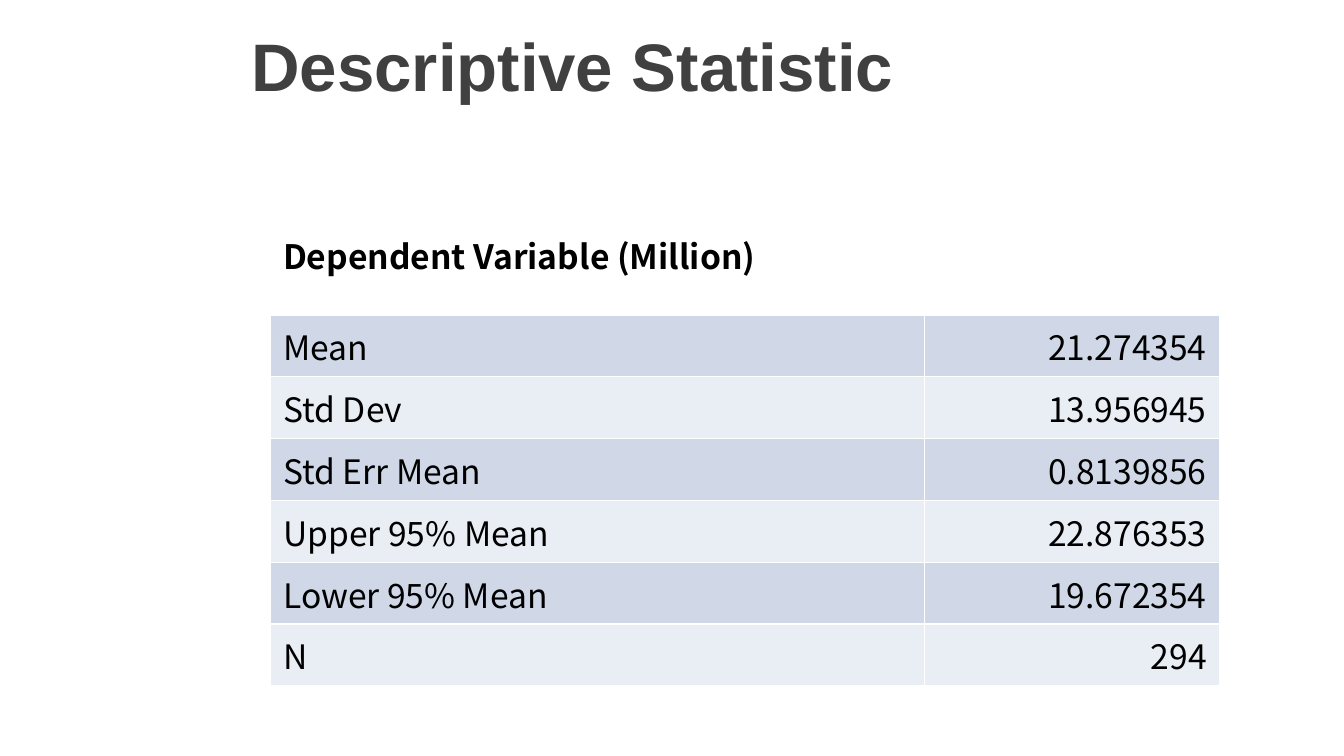
import dataclasses

import lxml.etree
import pptx
import pptx.dml.color
import pptx.enum.text
import pptx.oxml.ns
import pptx.util

Cm = pptx.util.Cm
Pt = pptx.util.Pt
Align = pptx.enum.text.PP_ALIGN
Anchor = pptx.enum.text.MSO_ANCHOR
qn = pptx.oxml.ns.qn


@dataclasses.dataclass(frozen=True)
class Theme:
    title_font: str = "Arial"
    body_font: str = "Noto Sans CJK KR"
    title_size: int = 36
    body_size: int = 18
    title_color: str = "404040"
    body_color: str = "000000"
    bands: tuple = ("D0D8E8", "E9EDF4")
    border_color: str = "FFFFFF"
    border_width: int = 1


THEME = Theme()

STATISTICS = [
    ("Mean", "21.274354"),
    ("Std Dev", "13.956945"),
    ("Std Err Mean", "0.8139856"),
    ("Upper 95% Mean", "22.876353"),
    ("Lower 95% Mean", "19.672354"),
    ("N", "294"),
]


def rgb(value):
    return pptx.dml.color.RGBColor.from_string(value)


def write_text(frame, text, font=THEME.body_font, size=THEME.body_size,
               color=THEME.body_color, bold=False, align=Align.LEFT):
    paragraph = frame.paragraphs[0]
    paragraph.alignment = align
    run = paragraph.add_run()
    run.text = text
    run.font.name = font
    run.font.size = Pt(size)
    run.font.bold = bold
    run.font.color.rgb = rgb(color)


def add_label(slide, text, left, top, width, height, anchor=Anchor.TOP, **text_format):
    frame = slide.shapes.add_textbox(left, top, width, height).text_frame
    frame.word_wrap = True
    frame.vertical_anchor = anchor
    write_text(frame, text, **text_format)


def set_borders(cell):
    properties = cell._tc.get_or_add_tcPr()
    for side in ("a:lnL", "a:lnR", "a:lnT", "a:lnB"):
        line = lxml.etree.SubElement(properties, qn(side), w=str(Pt(THEME.border_width)))
        fill = lxml.etree.SubElement(line, qn("a:solidFill"))
        lxml.etree.SubElement(fill, qn("a:srgbClr"), val=THEME.border_color)


def add_statistics_table(slide, statistics, left, top, column_widths, row_height):
    table = slide.shapes.add_table(
        len(statistics), len(column_widths), left, top,
        sum(column_widths), row_height * len(statistics)).table
    table.first_row = False
    for column, width in zip(table.columns, column_widths):
        column.width = width
    for row_index, statistic in enumerate(statistics):
        table.rows[row_index].height = row_height
        for column_index, (text, align) in enumerate(zip(statistic, (Align.LEFT, Align.RIGHT))):
            cell = table.cell(row_index, column_index)
            set_borders(cell)
            cell.fill.solid()
            cell.fill.fore_color.rgb = rgb(THEME.bands[row_index % 2])
            write_text(cell.text_frame, text, align=align)


def main():
    deck = pptx.Presentation()
    deck.slide_width, deck.slide_height = Cm(25.4), Cm(14.29)
    slide = deck.slides.add_slide(deck.slide_layouts[6])

    # Title
    add_label(slide, "Descriptive Statistic", Cm(4.5), Cm(0), Cm(20.9), Cm(2.46),
              anchor=Anchor.MIDDLE, font=THEME.title_font, size=THEME.title_size,
              color=THEME.title_color, bold=True)

    # Statistics and their heading share a left edge
    content_left = Cm(5.1)
    add_statistics_table(slide, STATISTICS, content_left, Cm(5.95),
                         (Cm(12.37), Cm(5.59)), Cm(1.17))
    add_label(slide, "Dependent Variable (Million)", content_left, Cm(4.34),
              Cm(15.8), Cm(1.02), bold=True)

    deck.save("out.pptx")


if __name__ == "__main__":
    main()
